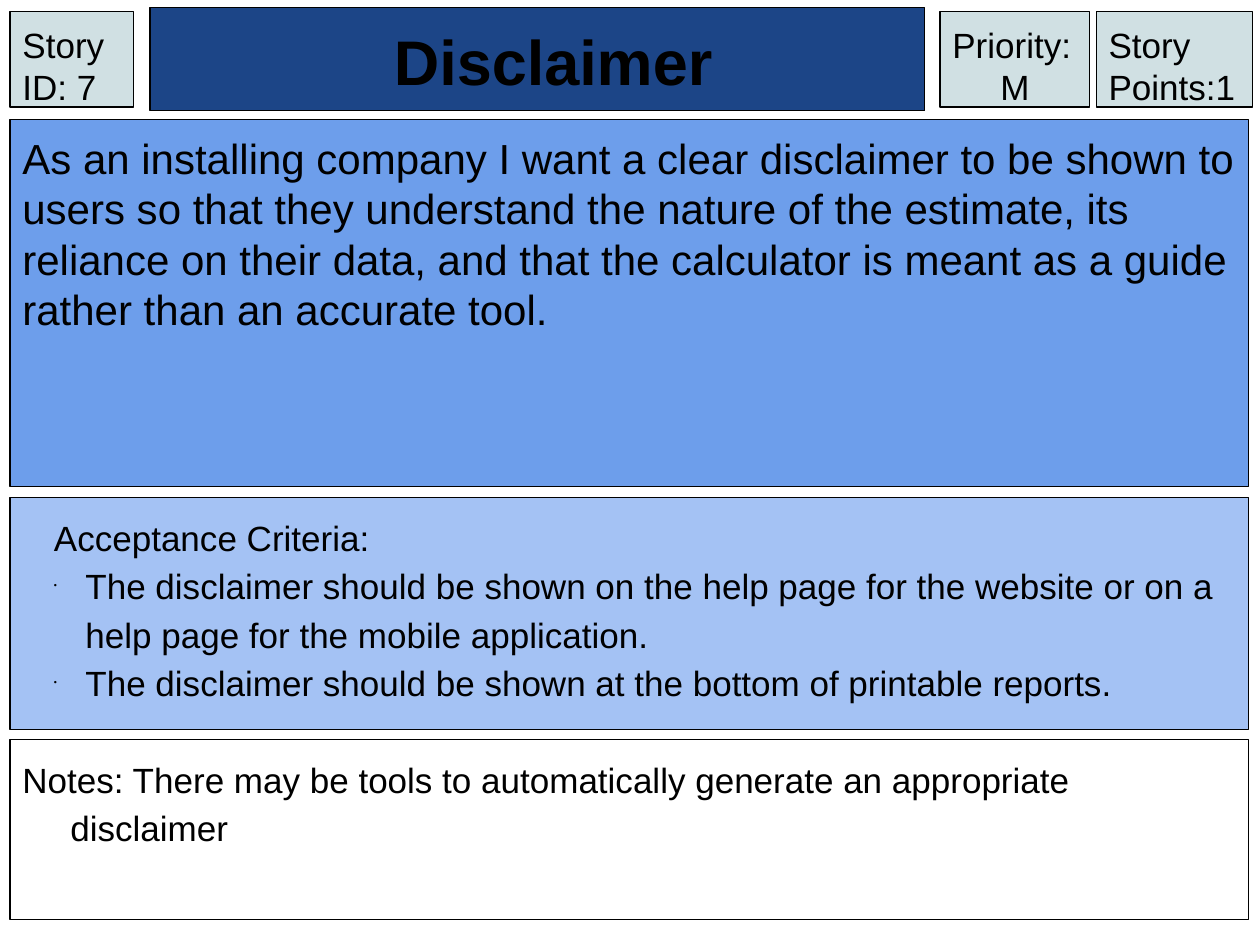
from dataclasses import dataclass
from lxml import etree
from pptx import Presentation
from pptx.dml.color import RGBColor
from pptx.enum.shapes import MSO_SHAPE
from pptx.enum.text import MSO_ANCHOR, MSO_AUTO_SIZE, PP_ALIGN
from pptx.oxml.ns import qn
from pptx.util import Inches, Pt

RECT = MSO_SHAPE.RECTANGLE
TOP, BOTTOM = MSO_ANCHOR.TOP, MSO_ANCHOR.BOTTOM
LEFT, CENTER = PP_ALIGN.LEFT, PP_ALIGN.CENTER
NO_FIT = MSO_AUTO_SIZE.NONE


@dataclass(frozen=True)
class Theme:
    font: str = "Arial"
    ink: str = "000000"
    title_fill: str = "1C4587"
    story_fill: str = "6D9EEB"
    criteria_fill: str = "A4C2F4"
    tag_fill: str = "D0E0E3"
    title_size: int = 36
    story_size: int = 24
    text_size: int = 20
    line: float = 0.75
    inset: float = 0.1


T = Theme()
COLS = {"full": (0.08, 9.83), "id": (0.08, 0.98), "title": (1.19, 6.15),
        "priority": (7.46, 1.19), "points": (8.7, 1.24)}
ROWS = {"title": (0.06, 0.82), "tag": (0.09, 0.76), "story": (0.95, 2.91),
        "criteria": (3.95, 1.84), "notes": (5.87, 1.43)}

STYLES = {
    "plain": {},
    "center": {"align": CENTER},
    "title": {"align": CENTER, "indent": 0.25},
    "heading": {"margin": 0.25, "spacing": 1.15},
    "bullet": {"margin": 0.5, "indent": -0.25, "spacing": 1.15, "bullet": True},
    "hanging": {"margin": 0.38, "indent": -0.38, "spacing": 1.15},
}

TITLE = [("Disclaimer", "title")]
CARDS = [
    ("full", "story", T.story_fill, T.story_size, [
        ("As an installing company I want a clear disclaimer to be shown to users "
         "so that they understand the nature of the estimate, its reliance on their "
         "data, and that the calculator is meant as a guide rather than an accurate "
         "tool.", "plain")]),
    ("full", "criteria", T.criteria_fill, T.text_size, [
        ("Acceptance Criteria:", "heading"),
        ("The disclaimer should be shown on the help page for the website or on a "
         "help page for the mobile application.", "bullet"),
        ("The disclaimer should be shown at the bottom of printable reports.",
         "bullet")]),
    ("full", "notes", None, T.text_size, [
        ("Notes: There may be tools to automatically generate an appropriate "
         "disclaimer", "hanging")]),
    ("points", "tag", T.tag_fill, T.text_size, [("Story Points:1", "plain")]),
    ("priority", "tag", T.tag_fill, T.text_size,
     [("Priority:", "plain"), ("M", "center")]),
    ("id", "tag", T.tag_fill, T.text_size, [("Story ID: 7", "plain")]),
]


def rgb(color):
    return RGBColor.from_string(color)


def format_paragraph(p, align=LEFT, margin=0, indent=0, spacing=1.0, bullet=False):
    p.alignment = align
    p.line_spacing = spacing
    pPr = p._p.get_or_add_pPr()
    pPr.set("marL", str(Inches(margin)))
    pPr.set("indent", str(Inches(indent)))
    if bullet:
        clr = etree.SubElement(pPr, qn("a:buClr"))
        etree.SubElement(clr, qn("a:srgbClr"), val=T.ink)
        etree.SubElement(pPr, qn("a:buSzPct"), val="25000")
        etree.SubElement(pPr, qn("a:buFont"), typeface=T.font)
        etree.SubElement(pPr, qn("a:buChar"), char="•")


def place(sp, col, row):
    sp.left, sp.width = map(Inches, COLS[col])
    sp.top, sp.height = map(Inches, ROWS[row])


def fill_card(sp, fill, size, lines, anchor=TOP, bold=False):
    if fill:
        sp.fill.solid()
        sp.fill.fore_color.rgb = rgb(fill)
    else:
        sp.fill.background()
    sp.line.color.rgb = rgb(T.ink)
    sp.line.width = Pt(T.line)
    tf = sp.text_frame
    tf.word_wrap = True
    tf.auto_size = NO_FIT
    tf.vertical_anchor = anchor
    tf.margin_left = tf.margin_right = Inches(T.inset)
    tf.margin_top = tf.margin_bottom = Inches(T.inset)
    tf.text = "\n".join(text for text, _ in lines)
    for p, (_, style) in zip(tf.paragraphs, lines):
        format_paragraph(p, **STYLES[style])
        for r in p.runs:
            r.font.name = T.font
            r.font.size = Pt(size)
            r.font.bold = bold
            r.font.color.rgb = rgb(T.ink)


def main():
    prs = Presentation()
    prs.slide_width, prs.slide_height = Inches(10), Inches(7.5)
    s = prs.slides.add_slide(prs.slide_layouts[5])
    place(s.shapes.title, "title", "title")
    fill_card(s.shapes.title, T.title_fill, T.title_size, TITLE, BOTTOM, True)
    for col, row, fill, size, lines in CARDS:
        sp = s.shapes.add_shape(RECT, 0, 0, 0, 0)
        sp.shadow.inherit = False
        place(sp, col, row)
        fill_card(sp, fill, size, lines)
    prs.save("out.pptx")


if __name__ == "__main__":
    main()
